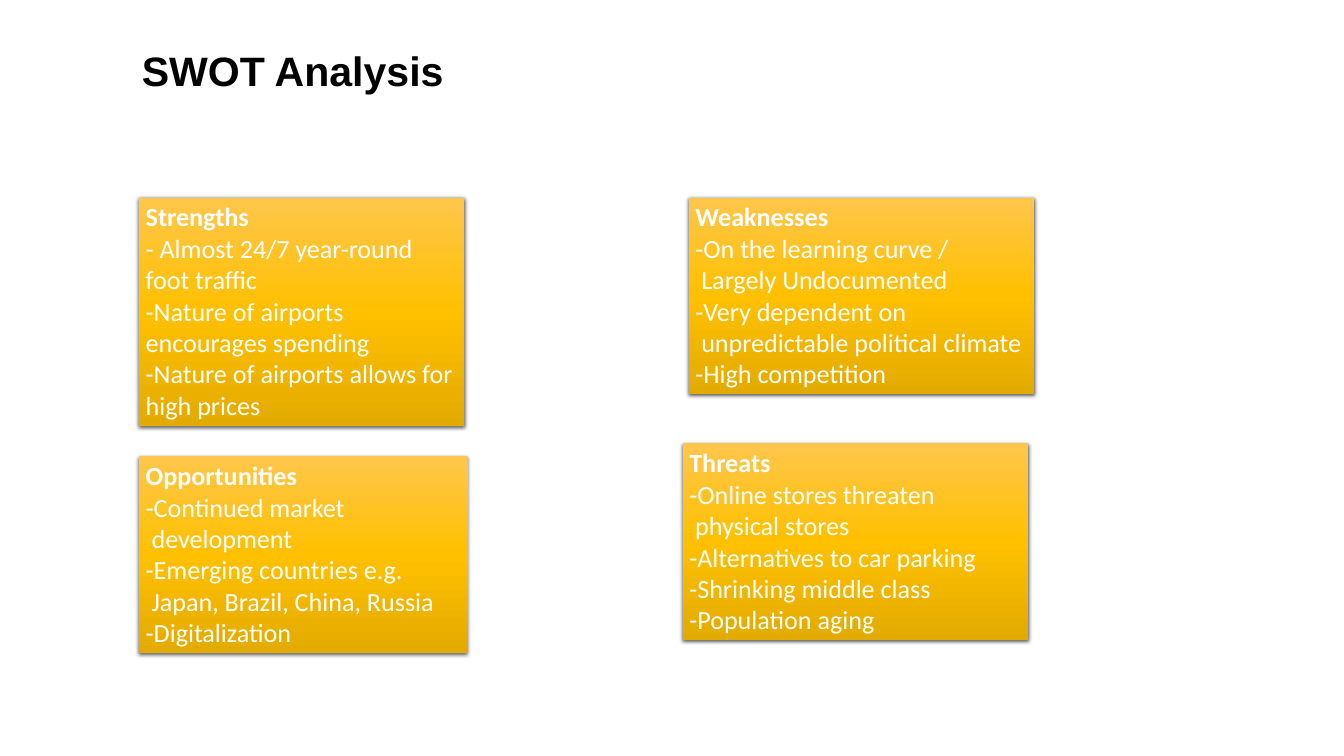
from copy import deepcopy
from dataclasses import dataclass

from lxml import etree
from pptx import Presentation
from pptx.dml.color import RGBColor
from pptx.enum.shapes import MSO_SHAPE
from pptx.enum.text import MSO_ANCHOR, MSO_AUTO_SIZE, PP_ALIGN
from pptx.oxml.ns import qn
from pptx.util import Inches, Pt

RECTANGLE = MSO_SHAPE.RECTANGLE
LEFT = PP_ALIGN.LEFT
TOP, MIDDLE = MSO_ANCHOR.TOP, MSO_ANCHOR.MIDDLE
FIT_SHAPE = MSO_AUTO_SIZE.SHAPE_TO_FIT_TEXT


@dataclass(frozen=True)
class Theme:
    title_font: str = "Arial"
    title_size: int = 44
    title_color: str = "000000"
    body_font: str = "Calibri"
    body_size: int = 28
    body_color: str = "FFFFFF"
    gradient: tuple = ((0, "FFC64B"), (0.5, "FFC000"), (1, "E3AB00"))
    shadow_color: str = "000000"


QUADRANTS = [
    ((2.07, 2.94, 4.84, 3.4), "Strengths", [
        "- Almost 24/7 year-round foot traffic",
        "-Nature of airports encourages spending",
        "-Nature of airports allows for high prices",
    ]),
    ((10.25, 2.94, 5.14, 2.93), "Weaknesses", [
        "-On the learning curve /",
        " Largely Undocumented",
        "-Very dependent on",
        " unpredictable political climate",
        "-High competition",
    ]),
    ((2.07, 6.79, 4.89, 2.93), "Opportunities", [
        "-Continued market",
        " development",
        "-Emerging countries e.g.",
        " Japan, Brazil, China, Russia",
        "-Digitalization",
    ]),
    ((10.16, 6.6, 5.14, 2.93), "Threats", [
        "-Online stores threaten",
        " physical stores",
        "-Alternatives to car parking",
        "-Shrinking middle class",
        "-Population aging",
    ]),
]


class SlideBuilder:
    def __init__(self, slide, theme):
        self.slide = slide
        self.theme = theme

    def run(self, p, text, font, size, color, bold):
        r = p.add_run()
        r.text = text
        r.font.name = font
        r.font.size = Pt(size)
        r.font.bold = bold
        r.font.color.rgb = RGBColor.from_string(color)

    def gradient(self, sp):
        """Fill the shape from top to bottom with the theme's three stops."""
        sp.fill.gradient()
        sp.fill.gradient_angle = 270
        stop_list = sp._element.spPr.find(".//" + qn("a:gsLst"))
        stop_list.append(deepcopy(stop_list[-1]))
        for stop, (position, color) in zip(sp.fill.gradient_stops, self.theme.gradient):
            stop.position = position
            stop.color.rgb = RGBColor.from_string(color)

    def shadow(self, sp):
        """Drop a soft shadow straight down."""
        sp.shadow.inherit = False
        effects = sp._element.spPr.find(qn("a:effectLst"))
        outer = etree.SubElement(effects, qn("a:outerShdw"), blurRad=str(Pt(4.5)),
                                 dist=str(Pt(1.5)), dir="5400000",
                                 algn="ctr", rotWithShape="0")
        color = etree.SubElement(outer, qn("a:srgbClr"), val=self.theme.shadow_color)
        etree.SubElement(color, qn("a:alpha"), val="63000")

    def title(self, box, text):
        t = self.theme
        tf = self.slide.shapes.add_textbox(*map(Inches, box)).text_frame
        tf.word_wrap = True
        tf.vertical_anchor = MIDDLE
        tf.margin_left = tf.margin_right = Inches(0.15)
        tf.margin_top = tf.margin_bottom = Inches(0.07)
        p = tf.paragraphs[0]
        p.line_spacing = 0.9
        self.run(p, text, t.title_font, t.title_size, t.title_color, True)

    def quadrant(self, box, heading, lines):
        t = self.theme
        sp = self.slide.shapes.add_shape(RECTANGLE, *map(Inches, box))
        self.gradient(sp)
        sp.line.fill.background()
        self.shadow(sp)
        tf = sp.text_frame
        tf.word_wrap = True
        tf.auto_size = FIT_SHAPE
        tf.vertical_anchor = TOP
        for i, text in enumerate([heading, *lines]):
            p = tf.add_paragraph() if i else tf.paragraphs[0]
            p.alignment = LEFT
            self.run(p, text, t.body_font, t.body_size, t.body_color, i == 0)


def main():
    prs = Presentation()
    prs.slide_width, prs.slide_height = Inches(20), Inches(11.25)
    s = SlideBuilder(prs.slides.add_slide(prs.slide_layouts[6]), Theme())
    for box, heading, lines in QUADRANTS:
        s.quadrant(box, heading, lines)
    s.title((1.96, 0.2, 13.5, 1.78), "SWOT Analysis")
    prs.save("out.pptx")


if __name__ == "__main__":
    main()
